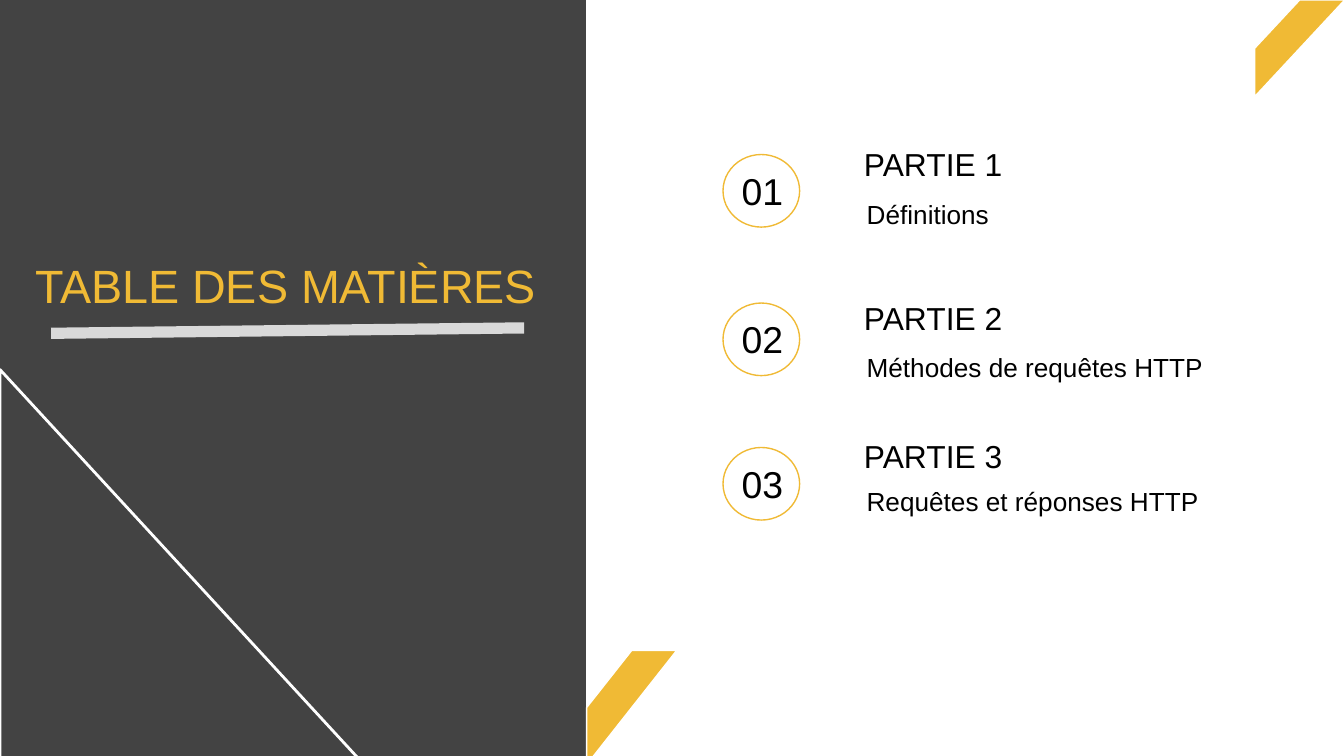
from dataclasses import dataclass

from lxml.etree import SubElement
from pptx import Presentation
from pptx.dml.color import RGBColor
from pptx.enum.shapes import MSO_CONNECTOR, MSO_SHAPE
from pptx.enum.text import MSO_AUTO_SIZE
from pptx.oxml.ns import qn
from pptx.shapes.autoshape import Shape
from pptx.slide import Slide
from pptx.util import Emu, Pt

PX = 4572  # EMU per px, 200 px to the inch
WIDTH, HEIGHT = 2000, 1125
PANEL_WIDTH = 872
GOLD, DARK, GREY, WHITE, BLACK = "F0BA35", "434343", "D9D9D9", "FFFFFF", "000000"


@dataclass(frozen=True)
class Box:
    left: int
    top: int
    width: int
    height: int

    def emu(self) -> list[Emu]:
        return [px(v) for v in (self.left, self.top, self.width, self.height)]


@dataclass(frozen=True)
class Part:
    number: int
    subject: str
    circle_top: int
    title_top: int
    subject_top: int
    subject_width: int


PARTS = [
    Part(1, "Définitions", 230, 196, 275, 510),
    Part(2, "Méthodes de requêtes HTTP", 451, 425, 503, 588),
    Part(3, "Requêtes et réponses HTTP", 666, 630, 702, 614),
]


def px(value: int) -> Emu:
    return Emu(value * PX)


def color(value: str) -> RGBColor:
    return RGBColor.from_string(value)


def add_figure(page: Slide, kind: MSO_SHAPE, box: Box, fill: str | None = None,
               line: str | None = None, weight: float = 0.75) -> Shape:
    shape = page.shapes.add_shape(kind, *box.emu())
    shape.shadow.inherit = False
    if fill:
        shape.fill.solid()
        shape.fill.fore_color.rgb = color(fill)
    else:
        shape.fill.background()
    if line:
        shape.line.color.rgb = color(line)
        shape.line.width = Pt(weight)
    else:
        shape.line.fill.background()
    return shape


def add_label(page: Slide, text: str, box: Box, size: int, ink: str = BLACK) -> None:
    frame = page.shapes.add_textbox(*box.emu()).text_frame
    frame.word_wrap = True
    frame.auto_size = MSO_AUTO_SIZE.SHAPE_TO_FIT_TEXT
    frame.margin_left = frame.margin_right = px(20)
    frame.margin_top = frame.margin_bottom = px(20)
    para = frame.paragraphs[0]
    para.text = text
    para.font.name = "Arial"
    para.font.size = Pt(size)
    para.font.color.rgb = color(ink)


def add_rule(page: Slide, x1: int, y1: int, x2: int, y2: int) -> None:
    rule = page.shapes.add_connector(MSO_CONNECTOR.STRAIGHT, px(x1), px(y1), px(x2), px(y2))
    rule.line.color.rgb = color(GREY)
    rule.line.width = Pt(6)
    SubElement(rule._element.spPr, qn("a:effectLst"))


def add_part(page: Slide, part: Part) -> None:
    add_label(page, f"{part.number:02d}", Box(1084, part.circle_top, 134, 108), 20)
    add_figure(page, MSO_SHAPE.OVAL, Box(1076, part.circle_top, 114, 108), line=GOLD)
    add_label(page, f"PARTIE {part.number}", Box(1266, part.title_top, 480, 98), 17)
    add_label(page, part.subject, Box(1270, part.subject_top, part.subject_width, 88), 14)


def main() -> None:
    deck = Presentation()
    deck.slide_width, deck.slide_height = px(WIDTH), px(HEIGHT)
    page = deck.slides.add_slide(deck.slide_layouts[6])

    # Dark panel with the heading and triangles
    add_figure(page, MSO_SHAPE.RECTANGLE, Box(0, 0, PANEL_WIDTH, HEIGHT), fill=DARK)
    add_label(page, "TABLE DES MATIÈRES", Box(33, 362, 808, 124), 25, GOLD)
    add_figure(page, MSO_SHAPE.RIGHT_TRIANGLE, Box(-2, 540, 450, 586), fill=DARK)
    add_figure(page, MSO_SHAPE.RIGHT_TRIANGLE, Box(0, 550, 540, 586), line=WHITE, weight=1.5)
    add_rule(page, 76, 496, 780, 488)

    # Contents list
    for part in PARTS:
        add_part(page, part)

    # Corner stripes
    for box in (Box(1867, 0, 134, 144), Box(PANEL_WIDTH + 1, 968, 134, 170)):
        stripe = add_figure(page, MSO_SHAPE.DIAGONAL_STRIPE, box, fill=GOLD, line=WHITE)
        stripe.adjustments[0] = 0.5

    deck.save("out.pptx")


if __name__ == "__main__":
    main()
